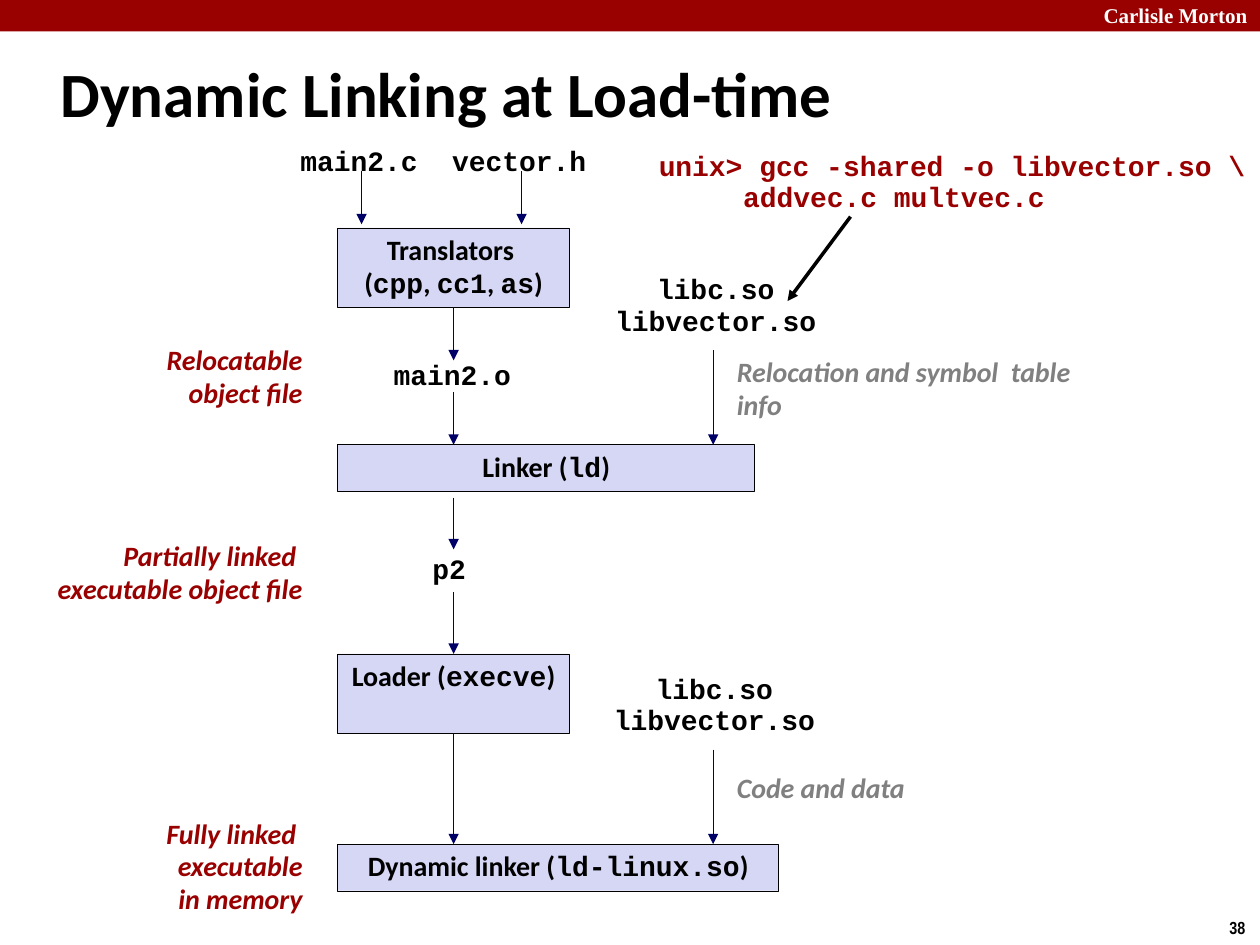
from pptx import Presentation
from pptx.dml.color import RGBColor
from pptx.enum.shapes import MSO_CONNECTOR, MSO_SHAPE
from pptx.enum.text import MSO_ANCHOR, MSO_AUTO_SIZE, PP_ALIGN
from pptx.oxml.ns import qn
from pptx.util import Emu, Pt
from lxml import etree

RECTANGLE = MSO_SHAPE.RECTANGLE
STRAIGHT = MSO_CONNECTOR.STRAIGHT
LEFT, CENTER, RIGHT = PP_ALIGN.LEFT, PP_ALIGN.CENTER, PP_ALIGN.RIGHT
TOP, MIDDLE = MSO_ANCHOR.TOP, MSO_ANCHOR.MIDDLE
FIXED, GROW = MSO_AUTO_SIZE.NONE, MSO_AUTO_SIZE.SHAPE_TO_FIT_TEXT
PX = 9144
TOP_SIDE, BOTTOM_SIDE = 0, 2

THEME = {
    "red": RGBColor(0x99, 0x00, 0x00),
    "black": RGBColor(0x00, 0x00, 0x00),
    "white": RGBColor(0xFF, 0xFF, 0xFF),
    "gray": RGBColor(0x80, 0x80, 0x80),
    "navy": RGBColor(0x00, 0x00, 0x66),
    "lavender": RGBColor(0xD6, 0xD6, 0xF5),
    "code": "Courier New",
    "title": {"name": "Calibri", "size": Pt(36), "bold": True},
    "body": {"name": "Calibri", "size": Pt(16), "bold": True},
    "note": {"name": "Calibri", "size": Pt(16), "bold": True, "italic": True},
    "file": {"name": "Courier New", "size": Pt(16), "bold": True},
    "header": {"name": "Times New Roman", "size": Pt(12), "bold": True},
    "number": {"name": "Arial Narrow", "size": Pt(10), "bold": True},
}


def write_text(shape, lines, style, color, align, spacing, frame_format):
    frame = shape.text_frame
    for name, value in frame_format.items():
        setattr(frame, name, value)
    for index, line in enumerate(lines):
        paragraph = frame.paragraphs[0] if index == 0 else frame.add_paragraph()
        paragraph.alignment = align
        paragraph.line_spacing = spacing
        for part, text in enumerate(line.split("`")):
            run = paragraph.add_run()
            run.text = text
            for name, value in THEME[style].items():
                setattr(run.font, name, value)
            if part % 2:
                run.font.name = THEME["code"]
            run.font.color.rgb = THEME[color]


def add_arrow(start, end, color="navy", width=0.25):
    connector = slide.shapes.add_connector(STRAIGHT, *(Emu(value * PX) for value in start + end))
    connector.line.color.rgb = THEME[color]
    connector.line.width = Pt(width)
    properties = connector.element.spPr
    etree.SubElement(properties.find(qn("a:ln")), qn("a:tailEnd"), type="triangle")
    etree.SubElement(properties, qn("a:effectLst"))
    return connector


presentation = Presentation()
presentation.slide_width = Emu(1000 * PX)
presentation.slide_height = Emu(750 * PX)
slide = presentation.slides.add_slide(presentation.slide_layouts[5])

banner = slide.shapes.add_shape(RECTANGLE, 0, 0, Emu(1000 * PX), Emu(25 * PX))
banner.shadow.inherit = False
banner.fill.solid()
banner.fill.fore_color.rgb = THEME["red"]
banner.line.fill.background()

title = slide.shapes.title
for name, value in {"left": 38, "top": 31, "width": 953, "height": 85}.items():
    setattr(title, name, Emu(value * PX))
write_text(title, ["Dynamic Linking at Load-time"], "title", "black", LEFT, 1.0,
           {"word_wrap": True, "auto_size": FIXED, "vertical_anchor": MIDDLE})

stages = {
    "translators": ((268, 181, 184, 63), ["Translators ", "(`cpp`, `cc1`, `as`)"]),
    "linker": ((268, 353, 331, 37), ["Linker (`ld`)"]),
    "loader": ((268, 519, 184, 63), ["Loader (`execve`)"]),
    "dynamic linker": ((268, 670, 350, 37), ["Dynamic linker (`ld-linux.so`)"]),
}
boxes = {}
for stage, (bounds, lines) in stages.items():
    box = slide.shapes.add_shape(RECTANGLE, *(Emu(value * PX) for value in bounds))
    box.shadow.inherit = False
    box.fill.solid()
    box.fill.fore_color.rgb = THEME["lavender"]
    box.line.color.rgb = THEME["black"]
    box.line.width = Pt(0.25)
    write_text(box, lines, "body", "black", CENTER, 0.98,
               {"word_wrap": False, "auto_size": FIXED, "vertical_anchor": TOP})
    boxes[stage] = box

libraries = ["libc.so", "libvector.so"]
command = ["unix> gcc -shared -o libvector.so \\", "addvec.c multvec.c"]
labels = [
    ((800, -3, 200, 30), ["Carlisle Morton"], "header", "white", RIGHT, 1.0, True),
    ((966, 723, 34, 27), ["38"], "number", "black", LEFT, 1.0, False),
    ((228, 111, 114, 36), ["main2.c"], "file", "black", CENTER, 0.94, False),
    ((348, 111, 128, 36), ["vector.h"], "file", "black", CENTER, 0.94, False),
    ((302, 281, 114, 36), ["main2.o"], "file", "black", CENTER, 0.94, False),
    ((333, 435, 47, 36), ["p2"], "file", "black", CENTER, 0.94, False),
    ((477, 213, 182, 61), libraries, "file", "black", CENTER, 0.94, False),
    ((476, 530, 182, 61), libraries, "file", "black", CENTER, 0.94, False),
    ((575, 278, 285, 63), ["Relocation and symbol  table info"], "note", "gray", LEFT, 0.98, True),
    ((575, 608, 194, 37), ["Code and data"], "note", "gray", LEFT, 0.98, True),
    ((100, 268, 150, 63), ["Relocatable", "object file"], "note", "red", RIGHT, 0.98, True),
    ((20, 424, 230, 63), ["Partially linked ", "executable object file"],
     "note", "red", RIGHT, 0.98, True),
    ((58, 644, 192, 89), ["Fully linked ", "executable", "in memory"],
     "note", "red", RIGHT, 0.98, True),
    ((513, 115, 492, 61), command, "file", "red", LEFT, 0.94, False),
]
for bounds, lines, style, color, align, spacing, wrap in labels:
    label = slide.shapes.add_textbox(*(Emu(value * PX) for value in bounds))
    write_text(label, lines, style, color, align, spacing,
               {"word_wrap": wrap, "auto_size": GROW, "vertical_anchor": TOP})
    if lines is command:
        continuation = label.text_frame.paragraphs[1]
        continuation._p.get_or_add_pPr().set("marL", str(67 * PX))

arrows = [
    ((287, 136), (287, 178), None, None),
    ((414, 136), (414, 178), None, None),
    ((360, 244), (360, 286), "translators", None),
    ((360, 311), (360, 353), None, None),
    ((566, 278), (566, 353), None, None),
    ((360, 395), (360, 436), None, None),
    ((360, 470), (360, 519), None, "loader"),
    ((360, 582), (360, 670), "loader", None),
    ((566, 595), (566, 670), None, None),
]
for start, end, source, target in arrows:
    arrow = add_arrow(start, end)
    if source:
        arrow.begin_connect(boxes[source], BOTTOM_SIDE)
    if target:
        arrow.end_connect(boxes[target], TOP_SIDE)
add_arrow((675, 172), (625, 239), "black", 2)

presentation.save("out.pptx")
